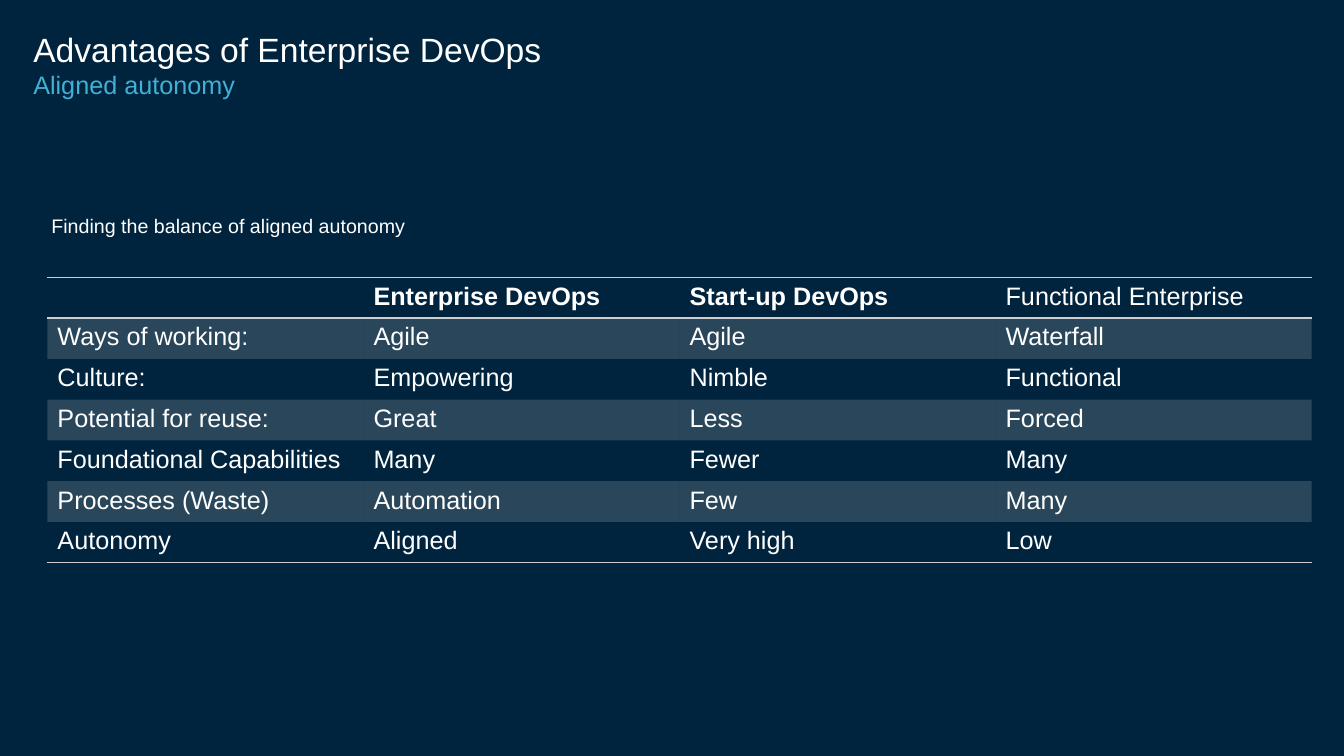
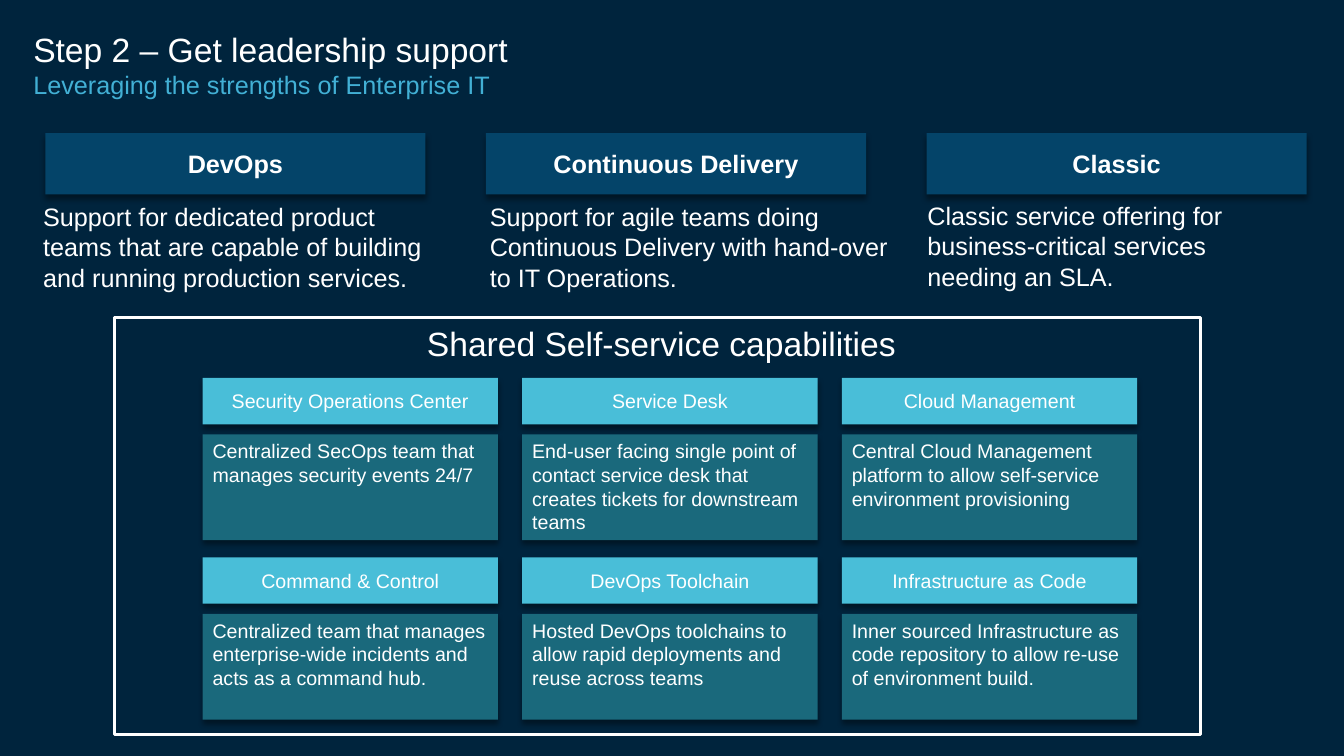
from dataclasses import dataclass

from lxml.etree import SubElement
from pptx import Presentation
from pptx.dml.color import RGBColor
from pptx.enum.shapes import MSO_SHAPE
from pptx.enum.text import MSO_ANCHOR as Anchor, MSO_AUTO_SIZE as AutoSize, PP_ALIGN as Align
from pptx.oxml import parse_xml
from pptx.oxml.ns import nsdecls, qn
from pptx.util import Inches, Pt

COLORS = {
    "background": "00243D",
    "text": "FFFFFF",
    "subtitle": "42B0D5",
    "table": "CFCFCF",
    "offering": "044469",
    "capability": "49BED8",
    "detail": "1A697C",
    "shadow": "000000",
}
FONT = "Arial"
TITLE_ONLY = 5
NO_TABLE_STYLE = "{2D5ABB26-0587-4C30-8999-92F81FD0307C}"


@dataclass(frozen=True)
class Box:
    left: float
    top: float
    width: float
    height: float

    def lengths(self) -> tuple:
        return tuple(Inches(n) for n in (self.left, self.top, self.width, self.height))


@dataclass(frozen=True)
class Offering:
    name: str
    description: str
    description_box: Box


@dataclass(frozen=True)
class Capability:
    name: str
    description: str


TABLE_ROWS = [
    ("", "Enterprise DevOps", "Start-up DevOps", "Functional Enterprise"),
    ("Ways of working:", "Agile", "Agile", "Waterfall"),
    ("Culture:", "Empowering", "Nimble", "Functional"),
    ("Potential for reuse:", "Great", "Less", "Forced"),
    ("Foundational Capabilities", "Many", "Fewer", "Many"),
    ("Processes (Waste)", "Automation", "Few", "Many"),
    ("Autonomy", "Aligned", "Very high", "Low"),
]
BOLD_HEADINGS = ("Enterprise DevOps", "Start-up DevOps")

OFFERINGS = [
    Offering(
        "DevOps",
        "Support for dedicated product teams that are capable of building "
        "and running production services.",
        Box(0.33, 1.95, 4.24, 1.01),
    ),
    Offering(
        "Continuous Delivery",
        "Support for agile teams doing Continuous Delivery with hand-over to IT Operations.",
        Box(4.76, 1.95, 4.24, 1.01),
    ),
    Offering(
        "Classic",
        "Classic service offering for business-critical services needing an SLA.",
        Box(9.1, 1.94, 3.86, 1.01),
    ),
]

CAPABILITIES = [
    Capability(
        "Security Operations Center",
        "Centralized SecOps team that manages security events 24/7",
    ),
    Capability(
        "Service Desk",
        "End-user facing single point of contact service desk that creates "
        "tickets for downstream teams",
    ),
    Capability(
        "Cloud Management",
        "Central Cloud Management platform to allow self-service environment provisioning",
    ),
    Capability(
        "Command & Control",
        "Centralized team that manages enterprise-wide incidents and acts as a command hub.",
    ),
    Capability(
        "DevOps Toolchain",
        "Hosted DevOps toolchains to allow rapid deployments and reuse across teams",
    ),
    Capability(
        "Infrastructure as Code",
        "Inner sourced Infrastructure as code repository to allow re-use of environment build.",
    ),
]


def color(name: str) -> RGBColor:
    return RGBColor.from_string(COLORS[name])


def format_run(run, size: float, color_name: str = "text", bold: bool = False) -> None:
    run.font.name = FONT
    run.font.size = Pt(size)
    run.font.bold = bold
    run.font.color.rgb = color(color_name)


def write(text_frame, text: str, size: float, bold: bool = False, align=Align.LEFT) -> None:
    text_frame.text = text
    paragraph = text_frame.paragraphs[0]
    paragraph.alignment = align
    for run in paragraph.runs:
        format_run(run, size, bold=bold)


def add_titled_slide(presentation, title: str, subtitle: str):
    slide = presentation.slides.add_slide(presentation.slide_layouts[TITLE_ONLY])
    shape = slide.shapes.title
    shape.left, shape.top, shape.width, shape.height = Box(0.33, 0.29, 11.47, 1.44).lengths()
    frame = shape.text_frame
    frame.margin_left = frame.margin_right = frame.margin_top = frame.margin_bottom = 0
    frame.vertical_anchor = Anchor.TOP
    frame.auto_size = AutoSize.NONE
    frame.text = f"{title}\v{subtitle}"
    paragraph = frame.paragraphs[0]
    paragraph.alignment = Align.LEFT
    title_run, subtitle_run = paragraph.runs
    format_run(title_run, 24)
    format_run(subtitle_run, 18, "subtitle")
    return slide


def add_text(slide, box: Box, text: str, size: float, align=Align.LEFT):
    frame = slide.shapes.add_textbox(*box.lengths()).text_frame
    frame.word_wrap = True
    write(frame, text, size, align=align)
    return frame


def add_shadow(shape) -> None:
    shape.shadow.inherit = False
    effects = shape._element.spPr.find(qn("a:effectLst"))
    shadow = SubElement(
        effects, qn("a:outerShdw"), blurRad=str(Pt(4)), dist=str(Pt(3)),
        dir="5400000", rotWithShape="0",
    )
    shade = SubElement(shadow, qn("a:srgbClr"), val=COLORS["shadow"])
    SubElement(shade, qn("a:alpha"), val="40000")


def add_panel(slide, box: Box, fill: str, text: str, size: float, bold: bool = False,
              align=Align.CENTER, anchor=Anchor.MIDDLE) -> None:
    """Draw a filled, shadowed rectangle with text."""
    shape = slide.shapes.add_shape(MSO_SHAPE.RECTANGLE, *box.lengths())
    shape.fill.solid()
    shape.fill.fore_color.rgb = color(fill)
    shape.line.fill.background()
    add_shadow(shape)
    shape.text_frame.word_wrap = True
    shape.text_frame.vertical_anchor = anchor
    write(shape.text_frame, text, size, bold, align)


def add_frame(slide, box: Box) -> None:
    shape = slide.shapes.add_shape(MSO_SHAPE.RECTANGLE, *box.lengths())
    shape.shadow.inherit = False
    shape.fill.background()
    shape.line.color.rgb = color("text")
    shape.line.width = Pt(2.25)


def shade_cell(cell) -> None:
    cell.fill.solid()
    cell.fill.fore_color.rgb = color("table")
    shade = cell._tc.tcPr.find(f"{qn('a:solidFill')}/{qn('a:srgbClr')}")
    SubElement(shade, qn("a:alpha"), val="20000")


def rule_cell(cell, sides: str) -> None:
    """Draw borders on the given sides, in the order T, B."""
    for position, side in enumerate(sides):
        border = parse_xml(
            f'<a:ln{side} {nsdecls("a")} w="{Pt(1)}"><a:solidFill>'
            f'<a:srgbClr val="{COLORS["table"]}"/></a:solidFill></a:ln{side}>'
        )
        cell._tc.get_or_add_tcPr().insert(position, border)


def add_comparison_table(slide) -> None:
    column_width, row_height = 3.135, 0.405
    row_count, column_count = len(TABLE_ROWS), len(TABLE_ROWS[0])
    box = Box(0.47, 2.75, column_count * column_width, row_count * row_height)
    table = slide.shapes.add_table(row_count, column_count, *box.lengths()).table
    table._tbl.tblPr.find(qn("a:tableStyleId")).text = NO_TABLE_STYLE
    borders = {0: "TB", row_count - 1: "B"}
    for row, texts in enumerate(TABLE_ROWS):
        for column, text in enumerate(texts):
            cell = table.cell(row, column)
            write(cell.text_frame, text, 18, bold=text in BOLD_HEADINGS)
            if row % 2:
                shade_cell(cell)
            else:
                cell.fill.background()
            rule_cell(cell, borders.get(row, ""))


def add_advantages_slide(presentation) -> None:
    slide = add_titled_slide(presentation, "Advantages of Enterprise DevOps", "Aligned autonomy")
    frame = add_text(slide, Box(0.47, 2.08, 9.37, 0.63),
                     "Finding the balance of aligned autonomy", 14)
    frame.margin_left = frame.margin_right = Inches(0.04)
    frame.margin_top = frame.margin_bottom = Inches(0.04)
    add_comparison_table(slide)


def add_leadership_slide(presentation) -> None:
    slide = add_titled_slide(presentation, "Step 2 – Get leadership support",
                             "Leveraging the strengths of Enterprise IT")
    for column, offering in enumerate(OFFERINGS):
        heading_box = Box(0.45 + column * 4.37, 1.32, 3.77, 0.61)
        add_panel(slide, heading_box, "offering", offering.name, 18, bold=True)
        add_text(slide, offering.description_box, offering.description, 18)

    add_frame(slide, Box(1.14, 3.15, 10.77, 4.14))
    add_text(slide, Box(4.06, 3.15, 5, 0.5), "Shared Self-service capabilities", 24, Align.CENTER)
    for index, capability in enumerate(CAPABILITIES):
        row, column = divmod(index, 3)
        left, top = 2.01 + column * 3.17, 3.75 + row * 1.78
        add_panel(slide, Box(left, top, 2.93, 0.46), "capability", capability.name, 14)
        add_panel(slide, Box(left, top + 0.56, 2.93, 1.05), "detail", capability.description, 14,
                  align=Align.LEFT, anchor=Anchor.TOP)


def main() -> None:
    presentation = Presentation()
    presentation.slide_width = Inches(13.33)
    presentation.slide_height = Inches(7.5)
    background = presentation.slide_master.background.fill
    background.solid()
    background.fore_color.rgb = color("background")
    add_advantages_slide(presentation)
    add_leadership_slide(presentation)
    presentation.save("out.pptx")


if __name__ == "__main__":
    main()
